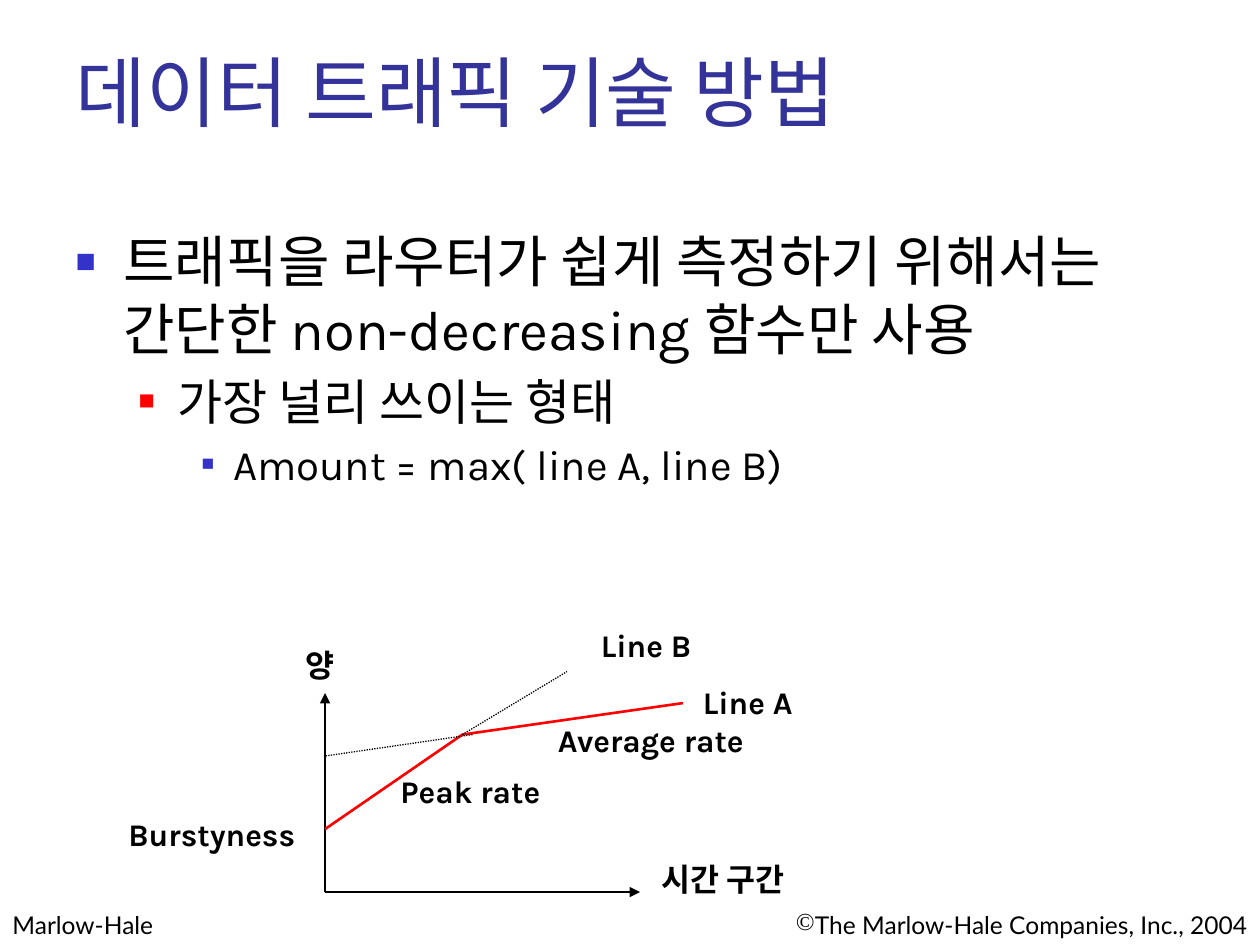
from lxml.etree import SubElement
from pptx import Presentation
from pptx.dml.color import RGBColor as RGB
from pptx.enum.dml import MSO_LINE as Dash
from pptx.enum.shapes import MSO_CONNECTOR as Conn
from pptx.enum.text import MSO_ANCHOR as Anchor, MSO_AUTO_SIZE as Auto, PP_ALIGN as Align
from pptx.oxml.ns import qn
from pptx.util import Inches, Pt

HUES = {"ink": "000000", "head": "333399", "blue": "3333CC", "red": "FF0000"}
LABEL = {"size": Pt(18), "name": "Karla", "bold": True}
FOOT = {"size": Pt(14), "name": "Lato"}


def color(key):
    return RGB.from_string(HUES[key])


def style(font, form, hue="ink"):
    for key, value in form.items():
        setattr(font, key, value)
    font.color.rgb = color(hue)


def place(shape, box):
    for key, value in zip(("left", "top", "width", "height"), box):
        setattr(shape, key, Inches(value))


def bullet(para, char, left, hang, hue, size):
    props = para._p.get_or_add_pPr()
    props.set("marL", str(Inches(left)))
    props.set("indent", str(Inches(-hang)))
    tint = SubElement(props, qn("a:buClr"))
    SubElement(tint, qn("a:srgbClr")).set("val", HUES[hue])
    SubElement(props, qn("a:buSzPct")).set("val", str(size * 1000))
    SubElement(props, qn("a:buChar")).set("char", char)


def add_text(slide, box, text, form, wrap=False):
    shape = slide.shapes.add_textbox(*map(Inches, box))
    frame = shape.text_frame
    frame.word_wrap = wrap
    frame.auto_size = Auto.SHAPE_TO_FIT_TEXT
    para = frame.paragraphs[0]
    run = para.add_run()
    run.text = text
    style(run.font, form)
    return para


def add_line(slide, start, end, hue="ink", width=0.75, dash=None, arrow=False):
    line = slide.shapes.add_connector(Conn.STRAIGHT, *map(Inches, start + end))
    line.line.color.rgb = color(hue)
    line.line.width = Pt(width)
    if dash:
        line.line.dash_style = dash
    if arrow:
        SubElement(line.line._get_or_add_ln(), qn("a:tailEnd")).set("type", "triangle")
    SubElement(line._element.spPr, qn("a:effectLst"))


def add_foot(slide, box):
    left, top, width, height = box
    add_text(slide, (left, top, 2.42, height), "Marlow-Hale", FOOT, True)
    half = width / 2
    para = add_text(slide, (left + half, top, half, height),
                    "The Marlow-Hale Companies, Inc., 2004", FOOT, True)
    para.alignment = Align.RIGHT
    bullet(para, "©", 0, 0, "ink", 100)


def add_title(slide, box):
    title = slide.shapes.title
    place(title, box)
    frame = title.text_frame
    frame.text = "데이터 트래픽 기술 방법"
    frame.auto_size = Auto.NONE
    frame.vertical_anchor = Anchor.TOP
    para = frame.paragraphs[0]
    para.alignment = Align.LEFT
    style(para.runs[0].font, {"size": Pt(44), "name": "Karla"}, "head")


def add_body(slide, box):
    items = [
        ("트래픽을 라우터가 쉽게 측정하기 위해서는 간단한 non-decreasing 함수만 사용",
         32, 0.38, 0.38, "blue", 60),
        ("가장 널리 쓰이는 형태", 28, 0.81, 0.31, "red", 55),
        ("Amount = max( line A, line B)", 24, 1.25, 0.25, "blue", 50),
    ]
    body = slide.placeholders[1]
    place(body, box)
    frame = body.text_frame
    frame.text = "\n".join(item[0] for item in items)
    frame.auto_size = Auto.NONE
    for level, (para, item) in enumerate(zip(frame.paragraphs, items)):
        text, size, left, hang, hue, scale = item
        para.level = level
        para.space_before = Pt(size * 0.2)
        bullet(para, "■", left, hang, hue, scale)
        style(para.runs[0].font, {"size": Pt(size), "name": "Karla"})


def add_graph(slide, left, top):
    def at(x, y):
        return left + x, top + y

    zero, knee = at(1.66, 2.16), at(2.75, 0.91)
    for end in (at(1.66, 0.58), at(4.16, 2.16)):
        add_line(slide, zero, end, arrow=True)
    for end in (at(1.66, 1.66), at(4.5, 0.66)):
        add_line(slide, end, knee, "red", 1.5)
    for start, end in ((at(2.83, 0.91), at(1.66, 1.08)), (knee, at(3.58, 0.41))):
        add_line(slide, start, end, dash=Dash.ROUND_DOT)

    labels = [
        ("시간 구간", 4.23, 1.86, 1.25),
        ("양", 1.41, 0.16, 0.45),
        ("Burstyness", 0, 1.5, 1.58),
        ("Peak rate", 2.16, 1.16, 1.4),
        ("Average rate", 3.41, 0.75, 1.81),
        ("Line A", 4.56, 0.45, 0.97),
        ("Line B", 3.75, 0, 0.97),
    ]
    for text, x, y, width in labels:
        add_text(slide, (*at(x, y), width, 0.4), text, LABEL)


def main():
    deck = Presentation()
    deck.slide_width, deck.slide_height = Inches(10), Inches(7.5)
    slide = deck.slides.add_slide(deck.slide_layouts[1])
    add_foot(slide, (0, 7.17, 10, 0.33))
    add_title(slide, (0.5, 0.3, 9, 1.25))
    add_body(slide, (0.5, 1.75, 9, 4.95))
    add_graph(slide, 0.92, 4.92)
    deck.save("out.pptx")


if __name__ == "__main__":
    main()
